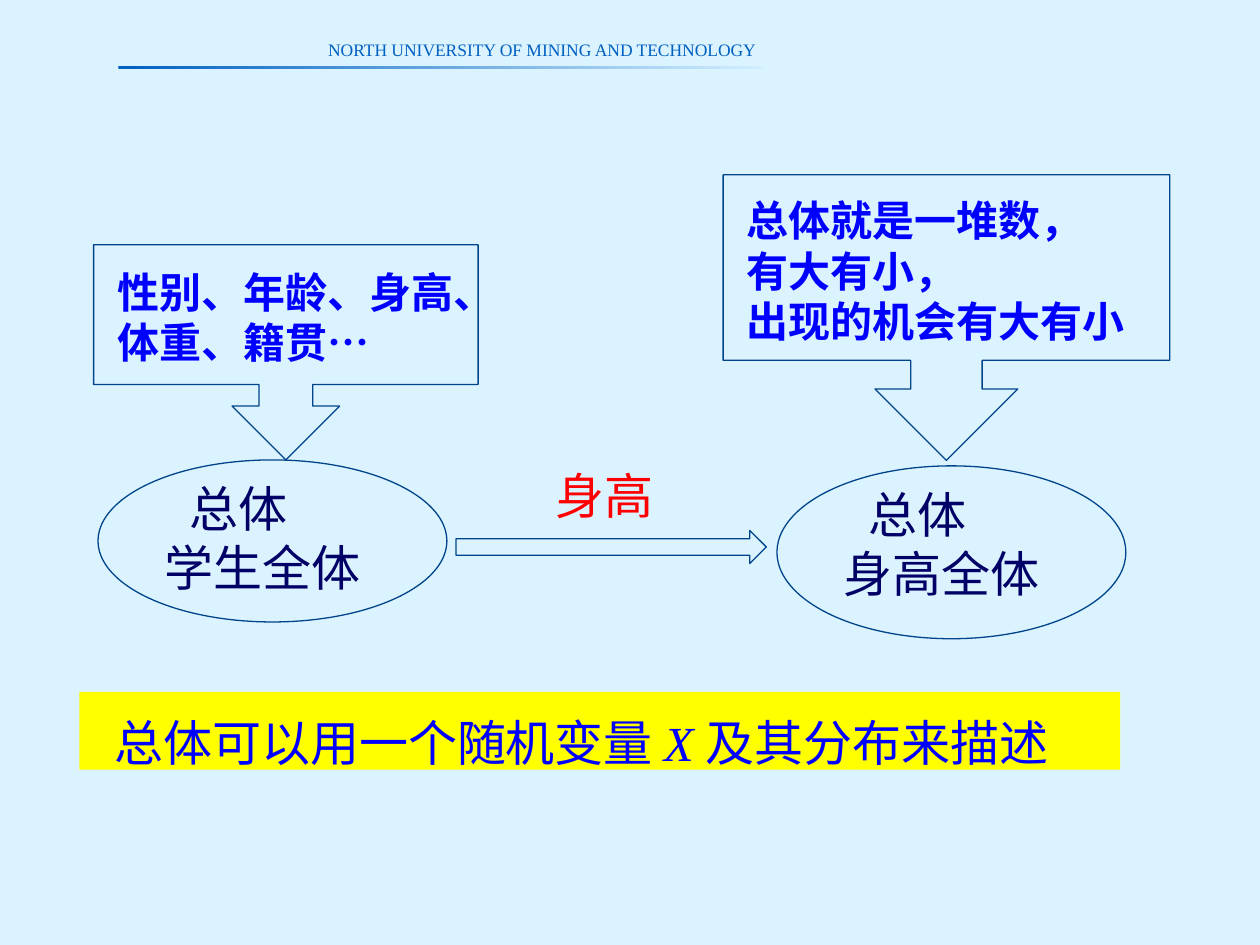
from lxml.etree import SubElement
from pptx import Presentation
from pptx.dml.color import RGBColor
from pptx.enum.shapes import MSO_SHAPE
from pptx.enum.text import MSO_ANCHOR, PP_ALIGN
from pptx.oxml.ns import qn
from pptx.util import Pt

CHINESE_FONT = "Noto Sans CJK SC"
LATIN_FONT = "Times New Roman"
BACKGROUND, OUTLINE, HEADER = "DBF2FF", "00458A", "0060C0"
BLUE, NAVY, RED, YELLOW = "0000FF", "000066", "FF0000", "FFFF00"


def color(hex_string):
    """Turn a hex string into a colour."""
    return RGBColor.from_string(hex_string)


def style_font(font, size, hex_string, name=CHINESE_FONT, bold=False, italic=False):
    """Set the Latin and East Asian looks of a font."""
    font.size = Pt(size)
    font.bold = bold
    font.italic = italic
    font.color.rgb = color(hex_string)
    font.name = name
    SubElement(font._rPr, qn("a:ea")).set("typeface", CHINESE_FONT)


def indent_first_line(paragraph, indent):
    """Indent the first line of a paragraph."""
    properties = paragraph._p.get_or_add_pPr()
    properties.set("marL", "0")
    properties.set("indent", str(Pt(indent)))


def add_shape(slide, kind, left, top, width, height, fill=None, line=None):
    """Add a preset shape with an optional fill and outline."""
    shape = slide.shapes.add_shape(kind, Pt(left), Pt(top), Pt(width), Pt(height))
    shape.shadow.inherit = False
    if fill:
        shape.fill.solid()
        shape.fill.fore_color.rgb = color(fill)
    else:
        shape.fill.background()
    if line:
        shape.line.color.rgb = color(line)
        shape.line.width = Pt(0.75)
    else:
        shape.line.fill.background()
    return shape


def add_text(slide, left, top, width, height, lines, size, hex_string, spacing=None, **style):
    """Add a text box with one paragraph for each line."""
    box = slide.shapes.add_textbox(Pt(left), Pt(top), Pt(width), Pt(height))
    frame = box.text_frame
    frame.word_wrap = True
    frame.text = "\n".join(lines)
    for paragraph in frame.paragraphs:
        style_font(paragraph.font, size, hex_string, **style)
        if spacing:
            paragraph.line_spacing = Pt(spacing)
    return frame


def add_header(slide):
    """Add the school name above its fading rule."""
    rule = add_shape(slide, MSO_SHAPE.RECTANGLE, 67.7, 38, 368.6, 1.7)
    rule.fill.gradient()
    rule.fill.gradient_angle = 0
    for stop, position, shade in zip(rule.fill.gradient_stops, (0, 1), (HEADER, "D1EEFF")):
        stop.position = position
        stop.color.rgb = color(shade)
    frame = add_text(slide, 178.6, 19.4, 262, 18, ["NORTH UNIVERSITY OF MINING AND TECHNOLOGY"],
                     10, HEADER, name=LATIN_FONT)
    frame.margin_top = frame.margin_bottom = Pt(3)
    frame.paragraphs[0].alignment = PP_ALIGN.CENTER


def add_callout(slide, left, top, width, height, text_top, text_width, lines):
    """Add a down-arrow callout and its bold lines."""
    add_text(slide, left + 6.5, text_top, text_width, 29 * len(lines) + 7.2, lines, 24, BLUE,
             spacing=29, name=LATIN_FONT, bold=True)
    add_shape(slide, MSO_SHAPE.DOWN_ARROW_CALLOUT, left, top, width, height, line=OUTLINE)


def add_population(slide, left, top, height, label):
    """Add an ellipse that names a population."""
    frame = add_text(slide, left + 31, top + 6.7, 152.6, 75, ["总体", label], 28, NAVY, spacing=34)
    indent_first_line(frame.paragraphs[0], 14)
    add_shape(slide, MSO_SHAPE.OVAL, left, top, 199.4, height, line=OUTLINE)


def add_conclusion(slide):
    """Add the yellow banner with the conclusion."""
    banner = add_shape(slide, MSO_SHAPE.RECTANGLE, 45.4, 395.3, 594.7, 44.6, fill=YELLOW)
    frame = banner.text_frame
    frame.word_wrap = True
    frame.vertical_anchor = MSO_ANCHOR.MIDDLE
    paragraph = frame.paragraphs[0]
    paragraph.alignment = PP_ALIGN.LEFT
    paragraph.line_spacing = Pt(46)
    indent_first_line(paragraph, 13)
    for text, name in (("总体可以用一个随机变量 ", CHINESE_FONT), ("X ", LATIN_FONT),
                       ("及其分布来描述", CHINESE_FONT)):
        run = paragraph.add_run()
        run.text = text
        style_font(run.font, 28, BLUE, name=name, italic=name == LATIN_FONT)


def main():
    """Build and save the slide."""
    presentation = Presentation()
    presentation.slide_width, presentation.slide_height = Pt(720), Pt(540)
    slide = presentation.slides.add_slide(presentation.slide_layouts[6])
    slide.background.fill.solid()
    slide.background.fill.fore_color.rgb = color(BACKGROUND)
    add_header(slide)
    add_conclusion(slide)
    add_callout(slide, 53.5, 139.9, 219.7, 122.9, 148.3, 247.7,
                ["性别、年龄、身高、", "体重、籍贯…"])
    add_population(slide, 56, 262.8, 92.6, "学生全体")
    add_shape(slide, MSO_SHAPE.RIGHT_ARROW, 260.6, 303.1, 177.3, 18.9, line=OUTLINE)
    add_text(slide, 310.3, 262.1, 76.3, 41, ["身高"], 28, RED, spacing=34)
    add_population(slide, 444, 266.2, 98.8, "身高全体")
    add_callout(slide, 413.2, 99.9, 255.2, 163.2, 107.3, 249.1,
                ["总体就是一堆数，", "有大有小，", "出现的机会有大有小"])
    presentation.save("out.pptx")


if __name__ == "__main__":
    main()
